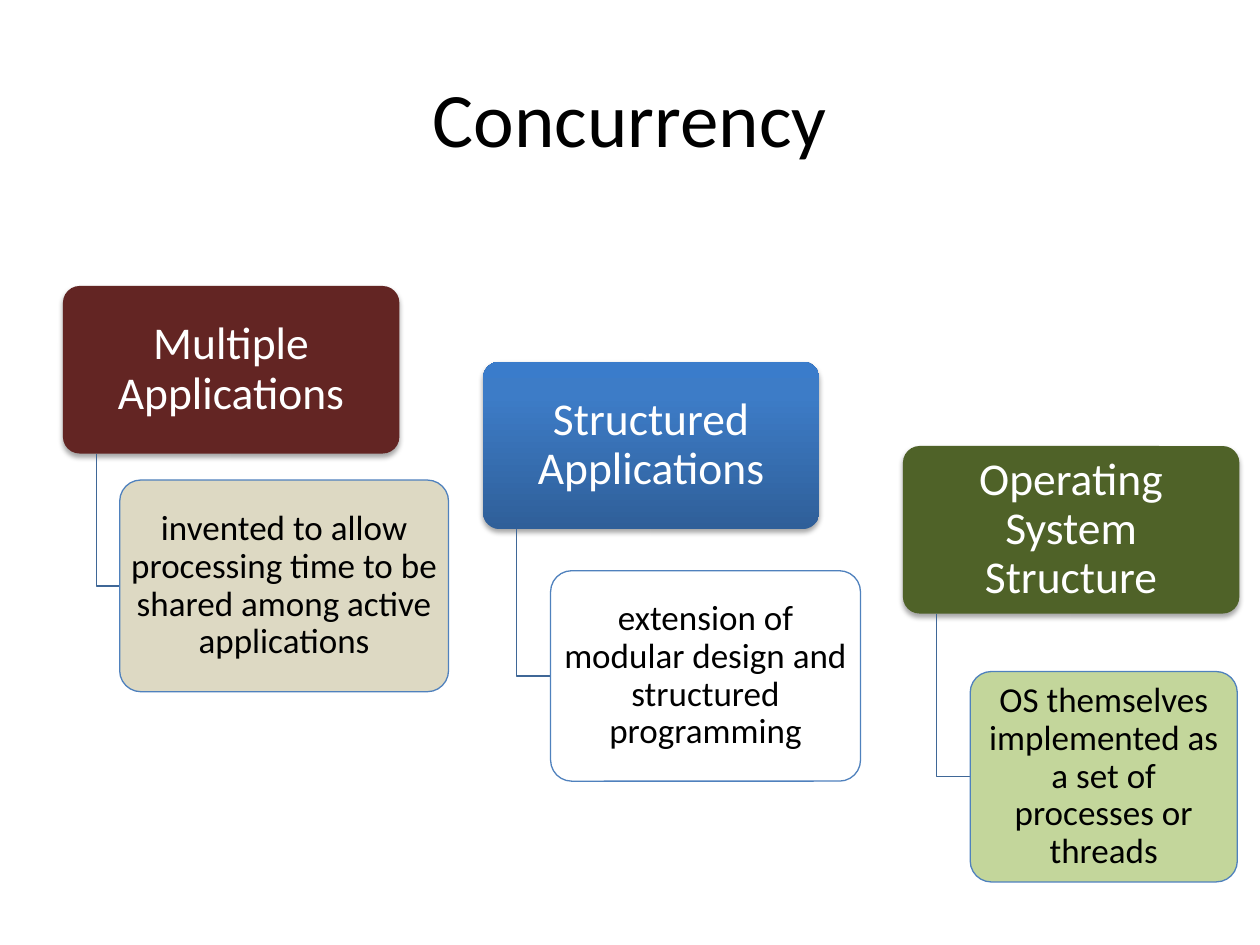
import copy

import pptx
import pptx.util
import pptx.dml.color
import pptx.enum.shapes
import pptx.enum.text
import pptx.oxml
import pptx.oxml.ns

Inches, Pt = pptx.util.Inches, pptx.util.Pt
qn = pptx.oxml.ns.qn
SHAPES = pptx.enum.shapes.MSO_SHAPE

TITLE = "Concurrency"
BLUE_GRADIENT = [(0, "2F5F99"), (0.8, "3D7CC7"), (1, "3A7CCB")]
# heading, heading fill, heading top, note, note fill, note (left, top, width, height)
BRANCHES = [
    ("Multiple Applications", "632523", 2.27,
     "invented to allow processing time to be shared among active applications",
     "DDD9C3", (0.95, 3.81, 2.61, 1.68)),
    ("Structured Applications", BLUE_GRADIENT, 2.87,
     "extension of modular design and structured programming",
     "FFFFFF", (4.37, 4.53, 2.46, 1.67)),
    ("Operating System Structure", "4F6228", 3.54,
     "OS themselves implemented as a set of processes or threads",
     "C3D69B", (7.7, 5.33, 2.12, 1.67)),
]
FIRST_LEFT, COLUMN_STEP = 0.5, 10 / 3
HEADING_WIDTH, HEADING_HEIGHT = 2.67, 1.33
TRUNK_SHARE = 0.1
HEADING_FORMAT = {"size": 26, "color": "FFFFFF", "inset": (0.05, 0.04)}
NOTE_FORMAT = {"size": 20, "color": "000000", "inset": (0.04, 0.03)}
SHADOW = (
    f'<a:outerShdw {pptx.oxml.ns.nsdecls("a")} blurRad="{Pt(3.1)}" dist="{Pt(1.8)}" '
    'dir="5400000" rotWithShape="0"><a:srgbClr val="000000"><a:alpha val="35000"/>'
    '</a:srgbClr></a:outerShdw>')


def rgb(color):
    return pptx.dml.color.RGBColor.from_string(color)


def write(frame, text, size, color, inset=(0.1, 0.05), spacing=1.0):
    side, edge = map(Inches, inset)
    settings = {"margin_left": side, "margin_right": side, "margin_top": edge,
                "margin_bottom": edge, "word_wrap": True,
                "vertical_anchor": pptx.enum.text.MSO_ANCHOR.MIDDLE}
    for name, value in settings.items():
        setattr(frame, name, value)
    frame.text = text
    paragraph = frame.paragraphs[0]
    paragraph.alignment = pptx.enum.text.PP_ALIGN.CENTER
    paragraph.line_spacing = spacing
    font = paragraph.runs[0].font
    for name, value in {"name": "Calibri", "size": Pt(size), "bold": False}.items():
        setattr(font, name, value)
    font.color.rgb = rgb(color)


def paint(shape, fill):
    """Fill with one colour, or with upward gradient stops."""
    if isinstance(fill, str):
        shape.fill.solid()
        shape.fill.fore_color.rgb = rgb(fill)
        return
    shape.fill.gradient()
    shape.fill.gradient_angle = 90
    stop_list = shape._element.spPr.find(".//" + qn("a:gsLst"))
    while len(stop_list) < len(fill):
        stop_list.append(copy.deepcopy(stop_list[-1]))
    for stop, (position, color) in zip(shape.fill.gradient_stops, fill):
        stop.position = position
        stop.color.rgb = rgb(color)


def outline(shape, color):
    shape.line.color.rgb = rgb(color)
    shape.line.width = Pt(0.75)


def add_box(slide, place, text, fill, text_format):
    box = slide.shapes.add_shape(SHAPES.ROUNDED_RECTANGLE, *map(Inches, place))
    box.adjustments[0] = 0.1
    box.shadow.inherit = False
    paint(box, fill)
    write(box.text_frame, text, spacing=0.9, **text_format)
    return box


def add_elbow(slide, trunk, top, middle, end):
    """Draw a line down the trunk from top to middle, then across to end."""
    trunk, top, middle, end = map(Inches, (trunk, top, middle, end))
    builder = slide.shapes.build_freeform(trunk, top)
    builder.add_line_segments([(trunk, middle), (end, middle)], close=False)
    elbow = builder.convert_to_shape()
    elbow.shadow.inherit = False
    elbow.fill.background()
    outline(elbow, "3F6797")


def add_branch(slide, column, heading, heading_fill, top, note, note_fill, note_place):
    left = FIRST_LEFT + column * COLUMN_STEP
    heading_box = add_box(slide, (left, top, HEADING_WIDTH, HEADING_HEIGHT),
                          heading, heading_fill, HEADING_FORMAT)
    heading_box.line.fill.background()
    effects = heading_box._element.spPr.find(qn("a:effectLst"))
    effects.append(pptx.oxml.parse_xml(SHADOW))

    note_left, note_top, _, note_height = note_place
    add_elbow(slide, left + TRUNK_SHARE * HEADING_WIDTH, top + HEADING_HEIGHT,
              note_top + note_height / 2, note_left)

    outline(add_box(slide, note_place, note, note_fill, NOTE_FORMAT), "4F81BD")


def main():
    deck = pptx.Presentation()
    deck.slide_width, deck.slide_height = Inches(10), Inches(7.5)
    slide = deck.slides.add_slide(deck.slide_layouts[5])
    title = slide.shapes.title
    place = {"left": 0.5, "top": 0.3, "width": 9, "height": 1.25}
    for name, value in place.items():
        setattr(title, name, Inches(value))
    write(title.text_frame, TITLE, 44, "000000")
    for column, branch in enumerate(BRANCHES):
        add_branch(slide, column, *branch)
    deck.save("out.pptx")


if __name__ == "__main__":
    main()
